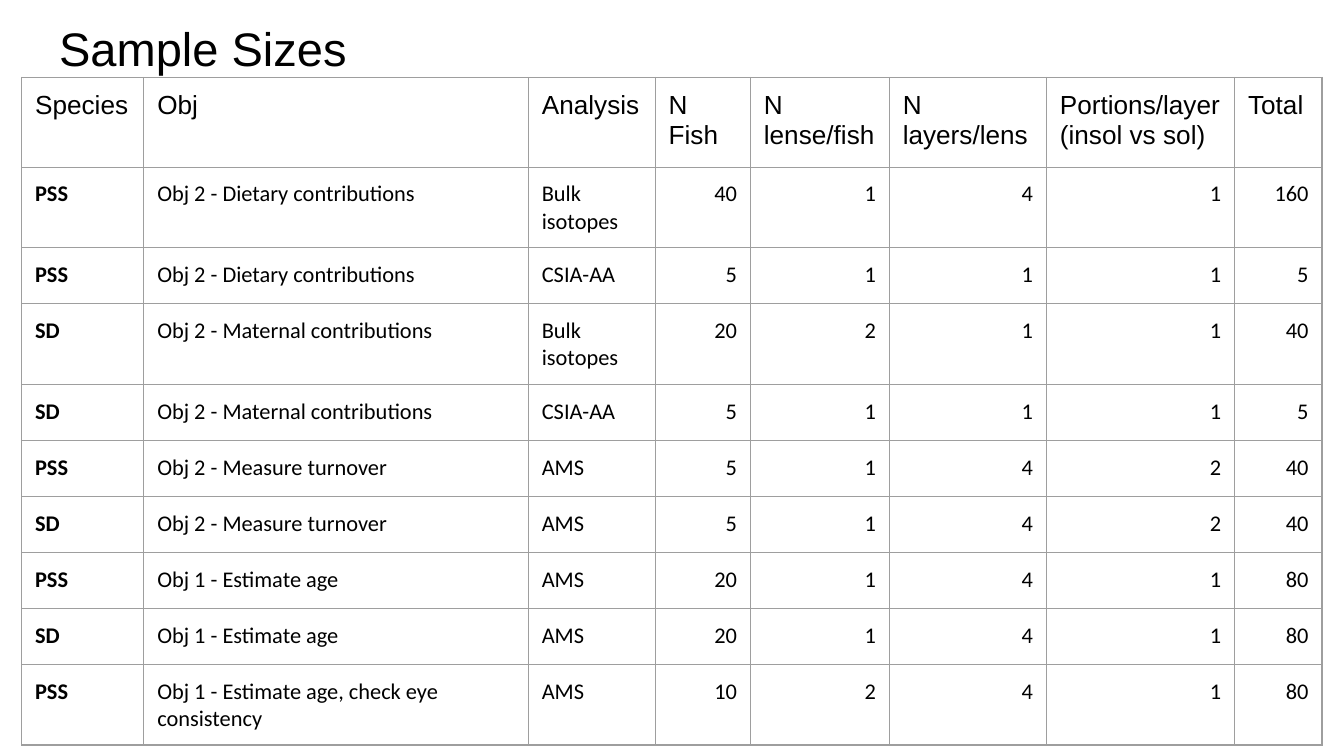
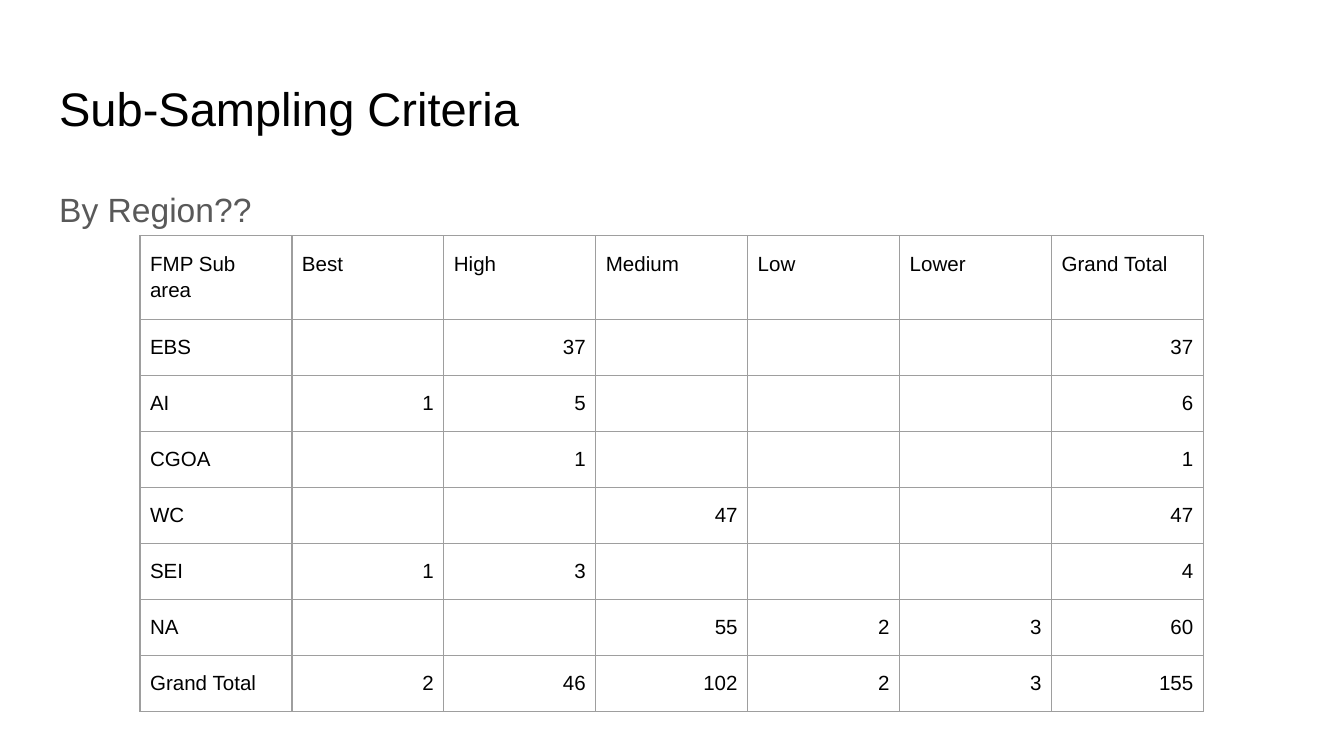
"""Build two slides of sampling tables: sample sizes and sub-sampling criteria."""
import pptx
import pptx.dml.color
import pptx.enum.text
import pptx.util
from lxml import etree
from pptx.oxml.ns import qn

Pt = pptx.util.Pt
ANCHOR = pptx.enum.text.MSO_ANCHOR
ALIGN = pptx.enum.text.PP_ALIGN
BLACK, GREY, BORDER = "000000", "595959", "9E9E9E"
LEFT, WIDTH, INSET, ROW = 24.6, 671, 7.2, 30


def color(value):
    return pptx.dml.color.RGBColor.from_string(value)


class Deck:
    def __init__(self):
        self.prs = pptx.Presentation()
        self.prs.slide_width, self.prs.slide_height = Pt(720), Pt(405)

    def slide(self, title, top):
        self.s = self.prs.slides.add_slide(self.prs.slide_layouts[6])
        self.text(title, top, 45, 25.2, anchor=ANCHOR.MIDDLE)

    def run(self, p, text, size, font="Arial", fill=BLACK, bold=False):
        r = p.add_run()
        r.text = text
        r.font.size, r.font.name, r.font.bold = Pt(size), font, bold
        r.font.color.rgb = color(fill)

    def text(self, text, top, height, size, fill=BLACK, spacing=None, anchor=ANCHOR.TOP):
        sp = self.s.shapes.add_textbox(Pt(LEFT), Pt(top), Pt(WIDTH), Pt(height))
        tf = sp.text_frame
        tf.word_wrap, tf.vertical_anchor = True, anchor
        tf.margin_left = tf.margin_right = tf.margin_top = tf.margin_bottom = Pt(INSET)
        p = tf.paragraphs[0]
        p.line_spacing = spacing
        self.run(p, text, size, fill=fill)

    def border(self, cell):
        tc_pr = cell._tc.get_or_add_tcPr()
        for i, side in enumerate(("lnL", "lnR", "lnT", "lnB")):
            ln = etree.Element(qn("a:" + side), w=str(Pt(0.75)))
            fill = etree.SubElement(ln, qn("a:solidFill"))
            etree.SubElement(fill, qn("a:srgbClr"), val=BORDER)
            tc_pr.insert(i, ln)

    def table(self, rows, left, top, widths, height, head, body, side=INSET,
              bold_first=False, spacing=None, before=None):
        frame = self.s.shapes.add_table(len(rows), len(widths), Pt(left), Pt(top),
                                        Pt(sum(widths)), Pt(height))
        table = frame.table
        table.first_row = table.horz_banding = False
        for column, width in zip(table.columns, widths):
            column.width = Pt(width)
        for i, row in enumerate(rows):
            table.rows[i].height = Pt(ROW)
            size, font = body if i else head
            for j, value in enumerate(row):
                cell = table.cell(i, j)
                cell.margin_left = cell.margin_right = Pt(side)
                cell.margin_top = cell.margin_bottom = Pt(INSET)
                cell.fill.background()
                self.border(cell)
                p = cell.text_frame.paragraphs[0]
                p.line_spacing = spacing
                p.space_before = None if before is None else Pt(before)
                if value is None:
                    end = etree.SubElement(p._p, qn("a:endParaRPr"))
                    end.set("sz", str(size * 100))
                    continue
                if isinstance(value, int):
                    p.alignment = ALIGN.RIGHT
                self.run(p, str(value), size, font, bold=bold_first and i > 0 and j == 0)
        frame.height = Pt(height)


SAMPLE_SIZES = [
    ("Species", "Obj", "Analysis", "N Fish", "N lense/fish", "N layers/lens",
     "Portions/layer (insol vs sol)", "Total"),
    ("PSS", "Obj 2 - Dietary contributions", "Bulk isotopes", 40, 1, 4, 1, 160),
    ("PSS", "Obj 2 - Dietary contributions", "CSIA-AA", 5, 1, 1, 1, 5),
    ("SD", "Obj 2 - Maternal contributions", "Bulk isotopes", 20, 2, 1, 1, 40),
    ("SD", "Obj 2 - Maternal contributions", "CSIA-AA", 5, 1, 1, 1, 5),
    ("PSS", "Obj 2 - Measure turnover", "AMS", 5, 1, 4, 2, 40),
    ("SD", "Obj 2 - Measure turnover", "AMS", 5, 1, 4, 2, 40),
    ("PSS", "Obj 1 - Estimate age", "AMS", 20, 1, 4, 1, 80),
    ("SD", "Obj 1 - Estimate age", "AMS", 20, 1, 4, 1, 80),
    ("PSS", "Obj 1 - Estimate age, check eye consistency", "AMS", 10, 2, 4, 1, 80),
]
REGIONS = [
    ("FMP Sub area", "Best", "High", "Medium", "Low", "Lower", "Grand Total"),
    ("EBS", None, 37, None, None, None, 37),
    ("AI", 1, 5, None, None, None, 6),
    ("CGOA", None, 1, None, None, None, 1),
    ("WC", None, None, 47, None, None, 47),
    ("SEI", 1, 3, None, None, None, 4),
    ("NA", None, None, 55, 2, 3, 60),
    ("Grand Total", 2, 46, 102, 2, 3, 155),
]

deck = Deck()
deck.slide("Sample Sizes", 3)
deck.table(SAMPLE_SIZES, 11.6, 41.5, (65.5, 206, 68, 51, 74.4, 84.2, 100.8, 46.8), 236,
           (14, "Arial"), (12, "Calibri"), bold_first=True)

deck.slide("Sub-Sampling Criteria", 35)
deck.text("By Region??", 90.7, 269, 18, GREY, 1.15)
deck.table(REGIONS, 75, 126.3, [81.4] * 7, 255, (11, "Arial"), (11, "Arial"),
           side=5.4, spacing=1.15, before=12)
deck.prs.save("out.pptx")
